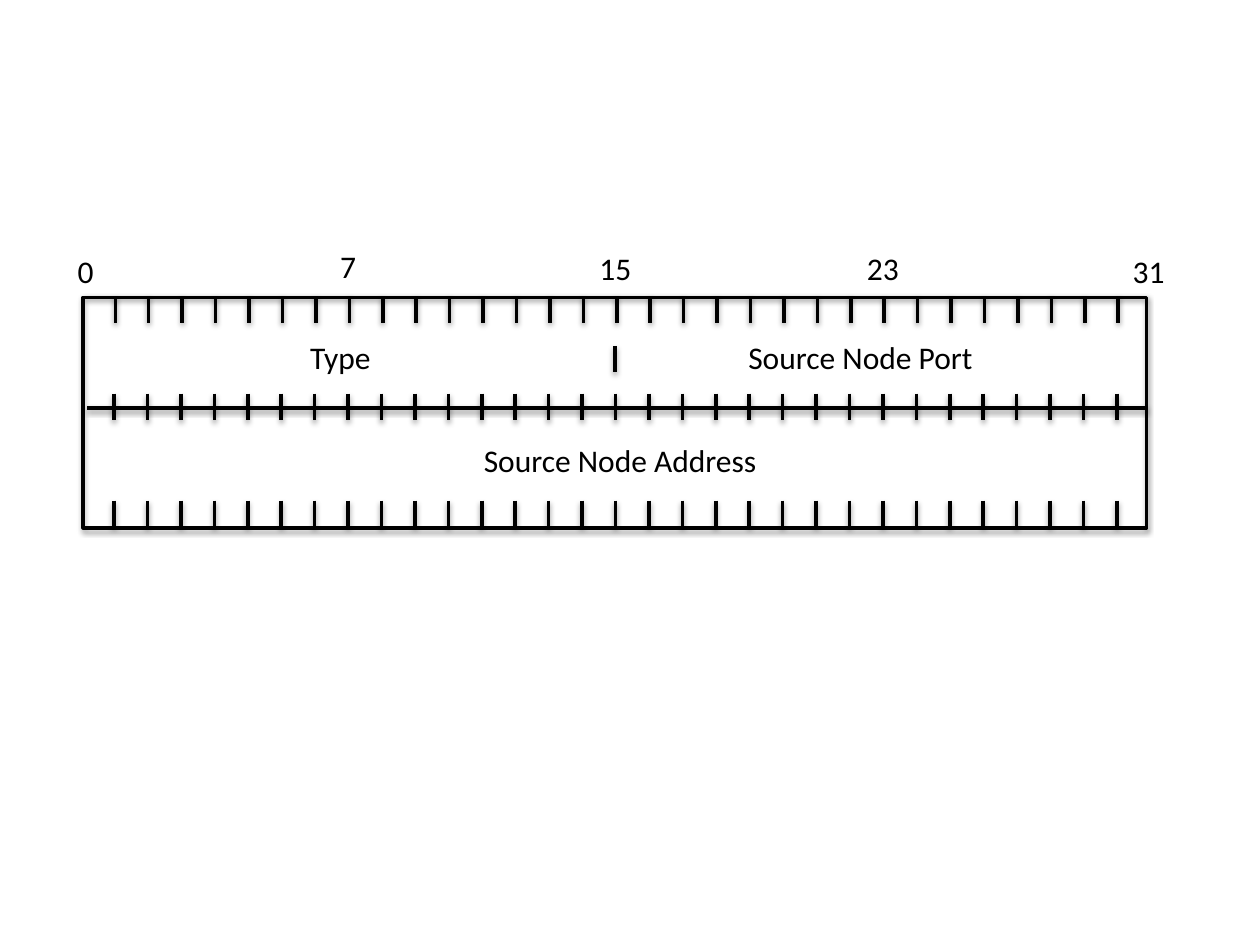
from dataclasses import dataclass

from lxml import etree
from pptx import Presentation
from pptx import util as u
from pptx.dml.color import RGBColor
from pptx.enum import shapes, text
from pptx.oxml.ns import qn


@dataclass(frozen=True)
class Theme:
    ink: str = "000000"
    font: str = "Calibri"
    text_size: float = 18
    line_width: float = 2
    shadow_blur: float = 3.1
    shadow_distance: float = 1.6
    shadow_alpha: int = 38


@dataclass(frozen=True)
class Box:
    left: float
    top: float
    width: float
    height: float

    def x(self, share):
        return u.Inches(self.left + share * self.width)

    def y(self, share):
        return u.Inches(self.top + share * self.height)


THEME = Theme()
SLIDE_WIDTH, SLIDE_HEIGHT = 10, 7.5
BITS = 32
TICK_HEIGHT = 0.21
LABEL_HEIGHT = 0.4


def style_outline(shape):
    shape.line.color.rgb = RGBColor.from_string(THEME.ink)
    shape.line.width = u.Pt(THEME.line_width)
    properties = shape._element.spPr
    effects = etree.SubElement(properties, qn("a:effectLst"))
    shadow = etree.SubElement(
        effects, qn("a:outerShdw"),
        blurRad=str(u.Pt(THEME.shadow_blur)), dist=str(u.Pt(THEME.shadow_distance)),
        dir="5400000", rotWithShape="0")
    color = etree.SubElement(shadow, qn("a:srgbClr"), val=THEME.ink)
    etree.SubElement(color, qn("a:alpha"), val=str(THEME.shadow_alpha * 1000))


def add_line(slide, start_x, start_y, end_x, end_y):
    line = slide.shapes.add_connector(
        shapes.MSO_CONNECTOR.STRAIGHT, start_x, start_y, end_x, end_y)
    style_outline(line)


def add_label(slide, wording, center_x, top, width):
    label = slide.shapes.add_textbox(
        int(center_x - u.Inches(width) / 2), top, u.Inches(width), u.Inches(LABEL_HEIGHT))
    label.text_frame.word_wrap = False
    label.text_frame.auto_size = text.MSO_AUTO_SIZE.SHAPE_TO_FIT_TEXT
    paragraph = label.text_frame.paragraphs[0]
    paragraph.text = wording
    paragraph.alignment = text.PP_ALIGN.CENTER
    paragraph.font.name = THEME.font
    paragraph.font.size = u.Pt(THEME.text_size)
    paragraph.font.color.rgb = RGBColor.from_string(THEME.ink)


def add_bit_numbers(slide, box):
    columns = {"0": (0.15, 0.1), "7": (8, 0), "15": (16, 0.05),
               "23": (24, 0.05), "31": (31.95, 0.1)}
    for number, (column, row) in columns.items():
        width = 0.2 + 0.13 * len(number)
        add_label(slide, number, box.x(column / BITS), box.y(row), width)


def add_tick_row(slide, box):
    for bit in range(1, BITS):
        x = box.x(bit / BITS)
        add_line(slide, x, box.y(0), x, box.y(1))


def add_fields(slide, box):
    frame = slide.shapes.add_shape(
        shapes.MSO_SHAPE.RECTANGLE, box.x(0), box.y(0),
        u.Inches(box.width), u.Inches(box.height))
    frame.fill.background()
    style_outline(frame)
    add_line(slide, box.x(0.004), box.y(0.48), box.x(1), box.y(0.48))
    add_line(slide, box.x(0.5), box.y(0.21), box.x(0.5), box.y(0.325))
    add_label(slide, "Type", box.x(0.242), box.y(0.15), 0.7)
    add_label(slide, "Source Node Port", box.x(0.731), box.y(0.15), 2)
    add_label(slide, "Source Node Address", box.x(0.505), box.y(0.595), 2.4)


def add_packet_header(slide, box):
    grid_left, grid_width = box.left - 0.02, 8.49
    add_bit_numbers(slide, Box(grid_left, box.top - 0.45, grid_width, LABEL_HEIGHT))
    for shift, row in ((0.01, -0.005), (0, 0.418), (0, 0.882)):
        top = box.top + row * box.height
        add_tick_row(slide, Box(grid_left + shift, top, grid_width, TICK_HEIGHT))
    add_fields(slide, box)


def main():
    presentation = Presentation()
    presentation.slide_width = u.Inches(SLIDE_WIDTH)
    presentation.slide_height = u.Inches(SLIDE_HEIGHT)
    slide = presentation.slides.add_slide(presentation.slide_layouts[6])
    add_packet_header(slide, Box(0.66, 2.36, 8.44, 1.83))
    presentation.save("out.pptx")


if __name__ == "__main__":
    main()
